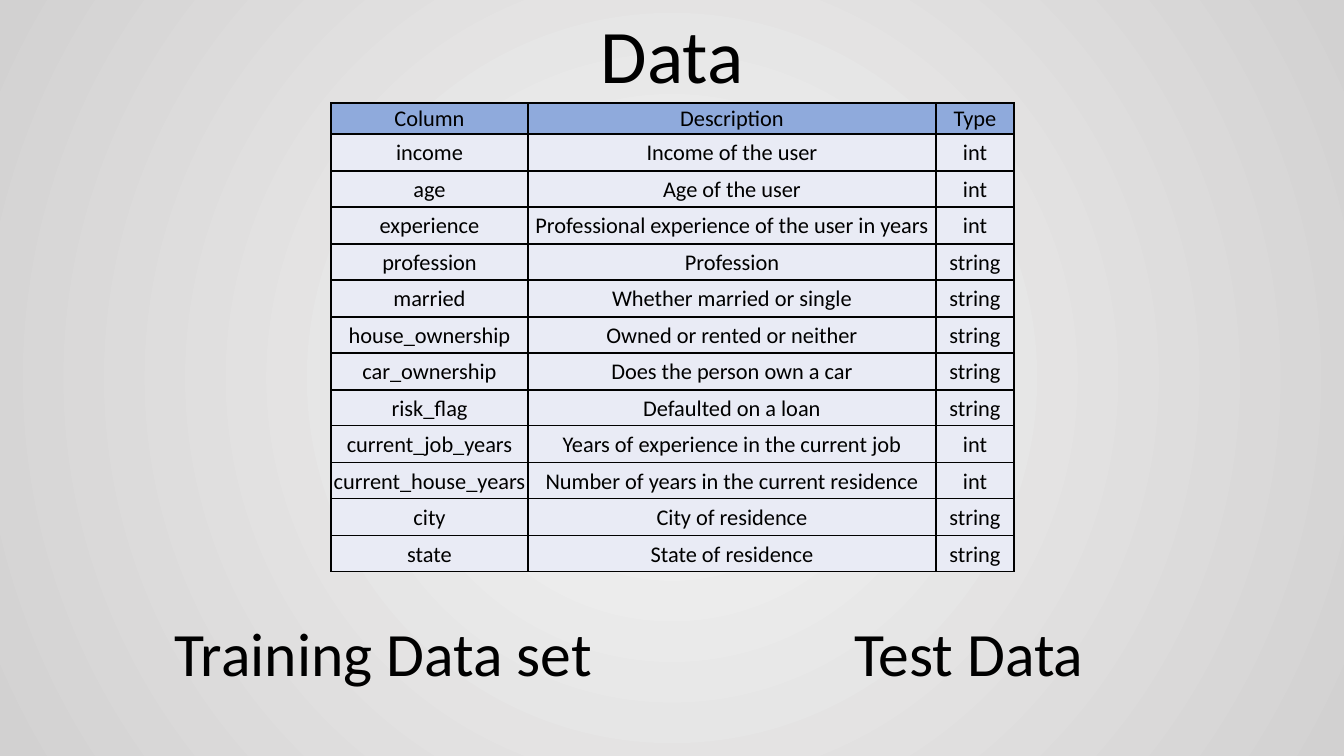
from lxml import etree
from pptx import Presentation
from pptx import util as u
from pptx.dml.color import RGBColor
from pptx.enum import text
from pptx.oxml import parse_xml
from pptx.oxml.ns import nsdecls, qn

PX = 12192000 / 1344
FONT = "Calibri"
BLACK = RGBColor(0x00, 0x00, 0x00)
HEADER_BLUE = RGBColor(0x8F, 0xAA, 0xDC)
ROW_LAVENDER = RGBColor(0xE9, 0xEB, 0xF5)
CENTER_GREY = RGBColor(0xF6, 0xF6, 0xF6)
EDGE_GREY = RGBColor(0xD2, 0xD1, 0xD1)


def px(length):
    return u.Emu(round(length * PX))


def write(frame, words, size):
    paragraph = frame.paragraphs[0]
    paragraph.alignment = text.PP_ALIGN.CENTER
    run = paragraph.add_run()
    run.text = words
    run.font.name = FONT
    run.font.size = u.Pt(size)
    run.font.color.rgb = BLACK


presentation = Presentation()
presentation.slide_width = px(1344)
presentation.slide_height = px(756)
slide = presentation.slides.add_slide(presentation.slide_layouts[5])

background = slide.background.fill
background.gradient()
for stop, color in zip(background.gradient_stops, (CENTER_GREY, EDGE_GREY)):
    stop.color.rgb = color
linear = next(slide.element.iter(qn("a:lin")))
linear.getparent().replace(linear, parse_xml(
    f'<a:path {nsdecls("a")} path="circle">'
    '<a:fillToRect l="50000" t="50000" r="50000" b="50000"/></a:path>'))

title = slide.shapes.title
training_label = slide.shapes.add_textbox(0, 0, 0, 0)
test_label = slide.shapes.add_textbox(0, 0, 0, 0)
headings = [
    (title, "Data", 54, (590, 2, 164, 102)),
    (training_label, "Training Data set", 44, (162, 610, 443, 85)),
    (test_label, "Test Data", 44, (843, 610, 252, 85)),
]
for shape, words, size, box in headings:
    shape.left, shape.top, shape.width, shape.height = map(px, box)
    frame = shape.text_frame
    frame.word_wrap = False
    frame.auto_size = text.MSO_AUTO_SIZE.SHAPE_TO_FIT_TEXT
    write(frame, words, size)

fields = [
    ("Column", "Description", "Type"),
    ("income", "Income of the user", "int"),
    ("age", "Age of the user", "int"),
    ("experience", "Professional experience of the user in years", "int"),
    ("profession", "Profession", "string"),
    ("married", "Whether married or single", "string"),
    ("house_ownership", "Owned or rented or neither", "string"),
    ("car_ownership", "Does the person own a car", "string"),
    ("risk_flag", "Defaulted on a loan", "string"),
    ("current_job_years", "Years of experience in the current job", "int"),
    ("current_house_years", "Number of years in the current residence", "int"),
    ("city", "City of residence", "string"),
    ("state", "State of residence", "string"),
]
table = slide.shapes.add_table(
    len(fields), 3, px(331), px(103), px(683), px(469)).table
table.first_row = False
table.horz_banding = False
for column, width in zip(table.columns, (197, 408, 78)):
    column.width = px(width)

for row_index, field in enumerate(fields):
    table.rows[row_index].height = px(36 + row_index % 2 if row_index else 31)
    for column_index, words in enumerate(field):
        cell = table.cell(row_index, column_index)
        cell.vertical_anchor = text.MSO_ANCHOR.MIDDLE
        cell.margin_left = cell.margin_right = cell.margin_top = px(1)
        cell.margin_bottom = 0
        write(cell.text_frame, words, 16)
        properties = cell._tc.get_or_add_tcPr()
        for side in ("a:lnL", "a:lnR", "a:lnT", "a:lnB"):
            border = etree.SubElement(properties, qn(side), w=str(u.Pt(1)))
            solid = etree.SubElement(border, qn("a:solidFill"))
            etree.SubElement(solid, qn("a:srgbClr"), val=str(BLACK))
        cell.fill.solid()
        cell.fill.fore_color.rgb = ROW_LAVENDER if row_index else HEADER_BLUE

presentation.save("out.pptx")
